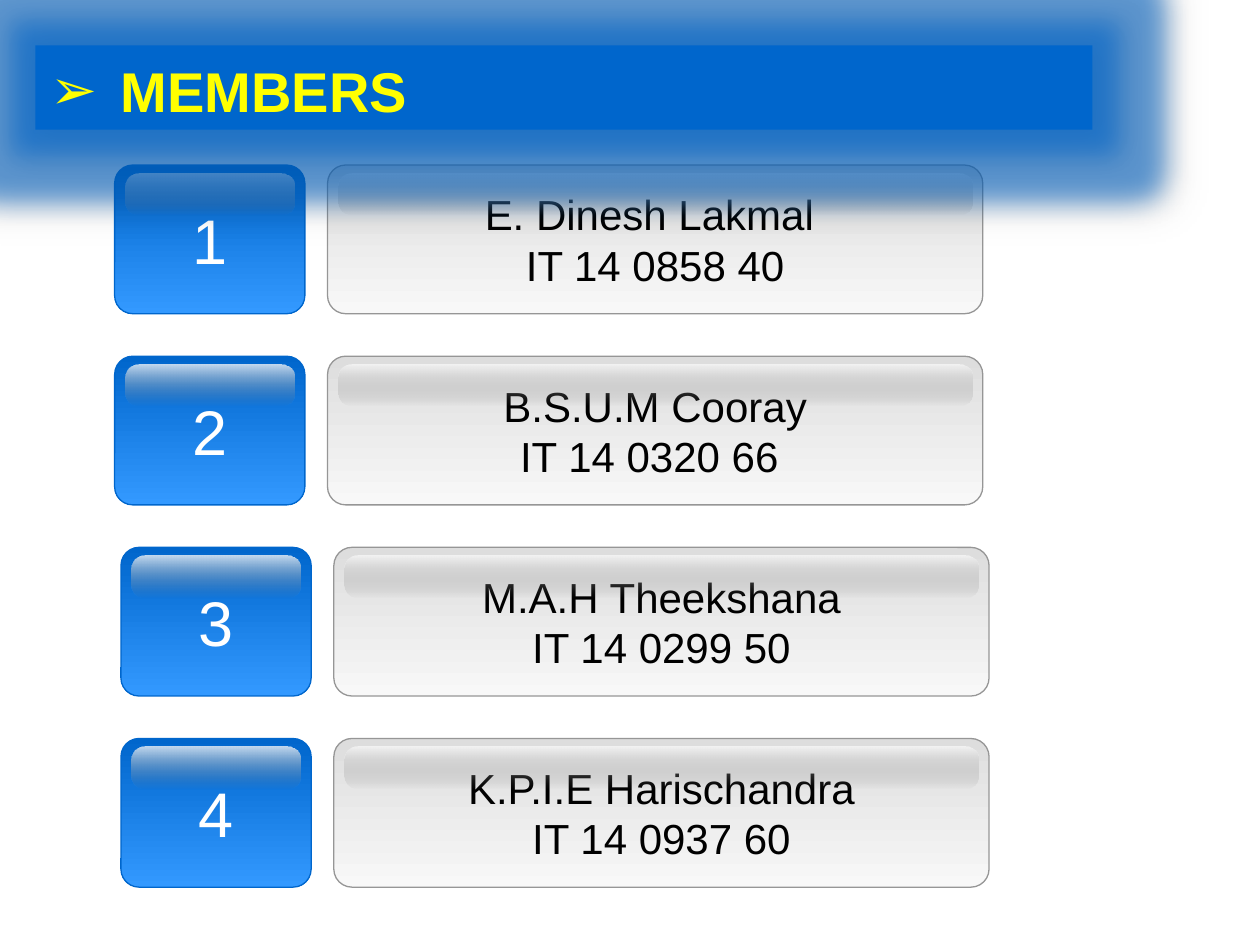
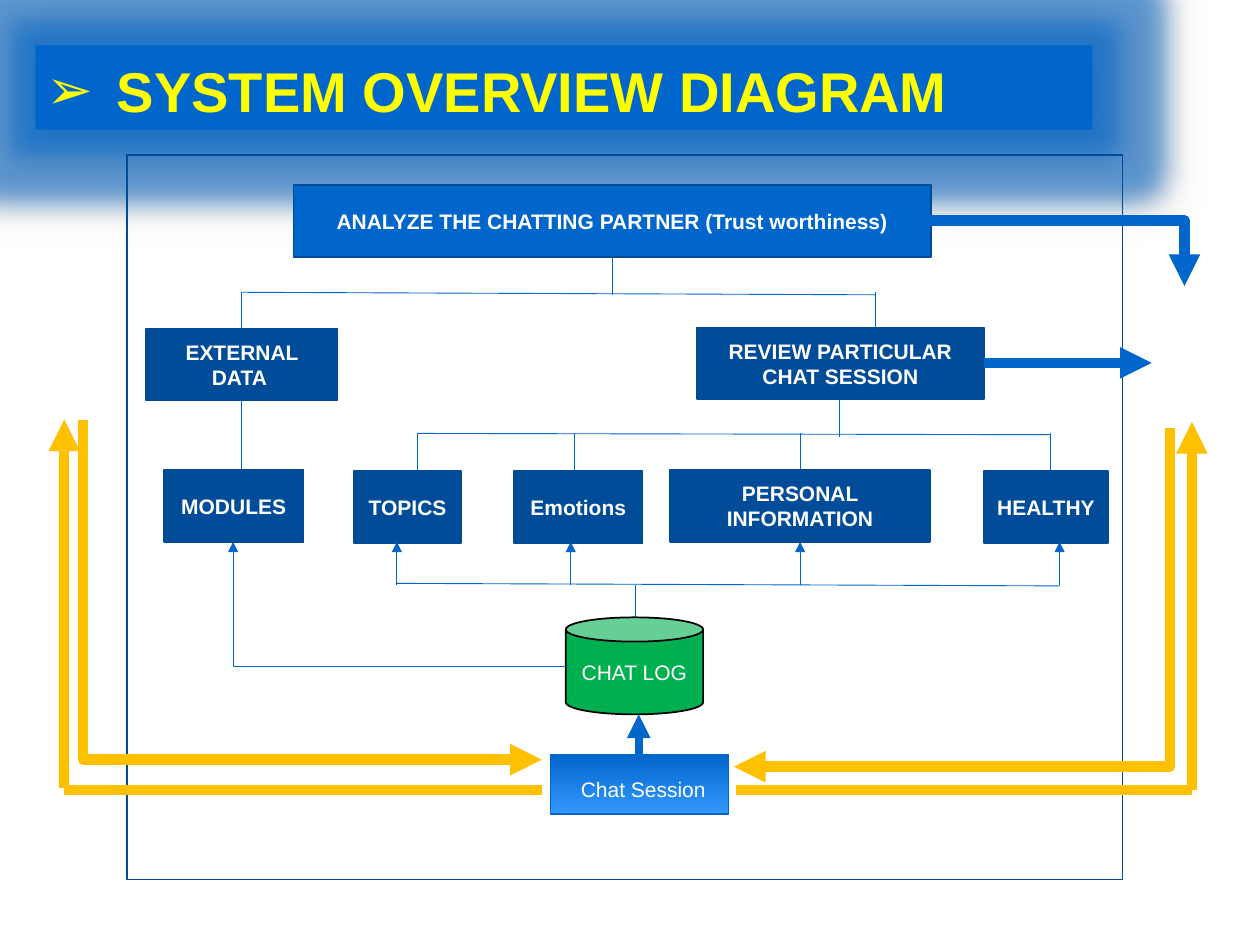
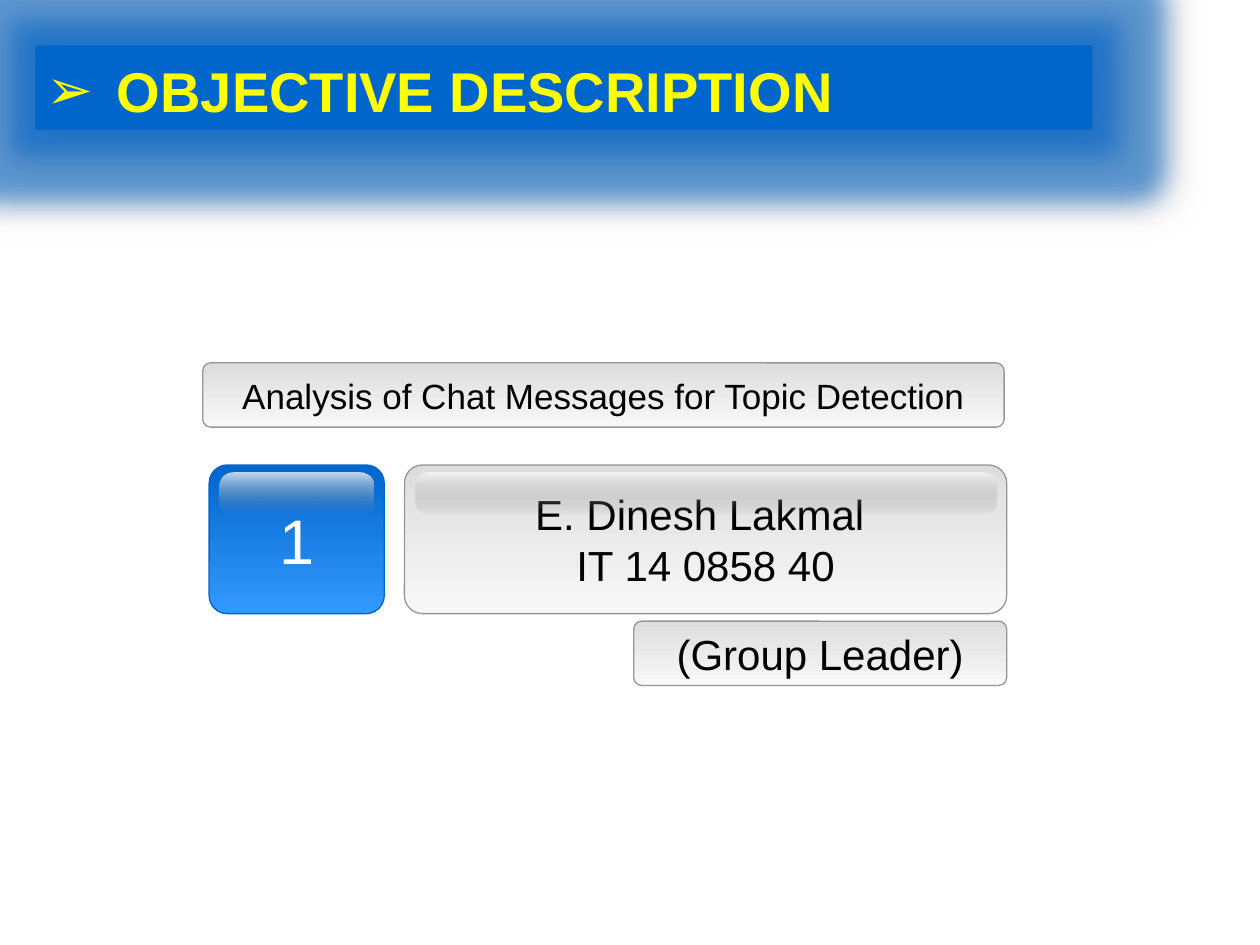
"""Build three slides: members, system overview diagram and objective description."""
from typing import NamedTuple

from lxml import etree
from pptx import Presentation
from pptx import util as u
from pptx.dml.color import RGBColor
from pptx.enum import shapes, text
from pptx.oxml import ns

COLUMNS, ROWS = 100, 75
WIDTH, HEIGHT = u.Inches(10), u.Inches(7.5)
FONT = "Arial"
BLUE, SKY, NAVY, EDGE = "0066CC", "3399FF", "004C99", "004B97"
GREY, PALE, STEEL, GLOSS = "DDDDDD", "F8F8F8", "969696", "727272"
WHITE, BLACK, YELLOW, GOLD, GREEN = "FFFFFF", "000000", "FFFF00", "FFC000", "00B050"
SHAPE = shapes.MSO_SHAPE
CENTER, LEFT = text.PP_ALIGN.CENTER, text.PP_ALIGN.LEFT


class Area(NamedTuple):
    left: float
    top: float
    width: float
    height: float


class Member(NamedTuple):
    number: str
    name: str
    code: str
    left: float


class Node(NamedTuple):
    label: str
    area: Area
    fill: str = NAVY


class Wire(NamedTuple):
    start: tuple[float, float]
    end: tuple[float, float]
    arrow: bool = False
    colour: str = BLUE
    weight: float = 0.5


class Elbow(NamedTuple):
    area: Area
    turn: int
    flip: bool
    colour: str = BLUE
    weight: float = 6


LEADER = Member("1", "E. Dinesh Lakmal ", "IT 14 0858 40", 9.1)
MEMBERS = [
    LEADER,
    Member("2", "B.S.U.M Cooray", "IT 14 0320 66 ", 9.1),
    Member("3", "M.A.H Theekshana", "IT 14 0299 50", 9.6),
    Member("4", "K.P.I.E Harischandra", "IT 14 0937 60", 9.6),
]
NODES = [
    Node("REVIEW PARTICULAR CHAT SESSION", Area(55.3, 26, 22.8, 5.7)),
    Node("ANALYZE THE CHATTING PARTNER (Trust worthiness)",
         Area(23.3, 14.7, 50.6, 5.7), BLUE),
    Node("TOPICS", Area(28.1, 37.4, 8.5, 5.7)),
    Node("Emotions", Area(40.8, 37.4, 10.2, 5.7)),
    Node("HEALTHY", Area(78.1, 37.4, 9.85, 5.7)),
    Node("EXTERNAL DATA ", Area(11.6, 26.1, 15.2, 5.7)),
    Node("MODULES", Area(13, 37.3, 11.1, 5.7)),
    Node("PERSONAL INFORMATION", Area(53.2, 37.3, 20.6, 5.7)),
]
TREE_WIRES = [
    Wire((19.2, 23.2), (69.5, 23.4)),
    Wire((48.6, 23.4), (48.6, 20.3)),
    *[Wire((x, 23.2), (x, 26)) for x in (19.2, 69.5)],
    Wire((33.1, 34.4), (83.4, 34.5)),
    Wire((66.6, 34.7), (66.6, 31.6)),
    *[Wire((x, 37.4), (x, 34.4)) for x in (33.1, 45.6, 63.5, 83.4)],
    Wire((19.2, 37.3), (19.2, 31.6)),
]
LOG_WIRES = [
    Wire((50.7, 59.9), (50.7, 56.7), True, BLUE, 4.5),
    Wire((31.5, 46.3), (84.1, 46.5)),
    Wire((50.4, 49), (50.4, 46.4)),
    *[Wire((x, 46.4), (x, 43)) for x in ()],
    *[Wire((x, 46.4), (x, 43), True) for x in (31.5, 45.3, 63.5, 84.1)],
    Wire((78.1, 28.8), (91.4, 28.8), True, BLUE, 6),
]
LOOP_WIRES = [
    Wire((5.1, 62.5), (5.1, 33.3), True, GOLD, 6),
    Wire((43, 62.7), (5.1, 62.7), False, GOLD, 6),
    Wire((94.6, 62.7), (58.4, 62.7), False, GOLD, 6),
    Wire((94.6, 62.7), (94.6, 33.5), True, GOLD, 6),
]
ELBOWS = [
    Elbow(Area(11.3, 28.6, 27, 36.4), 270, True, GOLD),
    Elbow(Area(62.1, 30.1, 26.9, 34.6), 90, False, GOLD),
    Elbow(Area(18.5, 43, 26.4, 9.9), 180, False, BLUE, 0.5),
    Elbow(Area(73.8, 17.5, 20.2, 5.2), 0, False),
]


def rgb(value: str) -> RGBColor:
    """Turn a hex string into a colour."""
    return RGBColor.from_string(value)


def across(columns: float) -> int:
    """Convert grid columns to a length."""
    return round(WIDTH * columns / COLUMNS)


def down(rows: float) -> int:
    """Convert grid rows to a length."""
    return round(HEIGHT * rows / ROWS)


def place(area: Area) -> tuple[int, int, int, int]:
    """Convert a grid area to lengths."""
    return across(area.left), down(area.top), across(area.width), down(area.height)


def child(parent, tag: str, **attributes):
    """Append a drawing element to a parent."""
    node = etree.SubElement(parent, ns.qn(f"a:{tag}"))
    for key, value in attributes.items():
        node.set(key, str(value))
    return node


def write(box, label: str, *, size: float = 12, colour: str = WHITE, bold: bool = False,
          align=CENTER, wrap: bool = True, anchor=text.MSO_ANCHOR.MIDDLE):
    """Fill a box with one paragraph per line of text."""
    frame = box.text_frame
    frame.word_wrap, frame.vertical_anchor = wrap, anchor
    for index, line in enumerate(label.split("\n")):
        para = frame.add_paragraph() if index else frame.paragraphs[0]
        para.alignment = align
        span = para.add_run()
        span.text = line
        span.font.name, span.font.size, span.font.bold = FONT, u.Pt(size), bold
        span.font.color.rgb = rgb(colour)
    return frame


def shape(page, area: Area, *, kind=SHAPE.RECTANGLE, fill=None, line: str = "",
          weight: float = 1, corner: float = 0):
    """Add a shape with no, plain or two-colour fill."""
    box = page.shapes.add_shape(kind, *place(area))
    box.shadow.inherit = False
    if corner:
        box.adjustments[0] = corner
    if fill is None:
        box.fill.background()
    elif isinstance(fill, str):
        box.fill.solid()
        box.fill.fore_color.rgb = rgb(fill)
    else:
        box.fill.gradient()
        box.fill.gradient_angle = 270
        for stop, colour in zip(box.fill.gradient_stops, fill):
            stop.color.rgb = rgb(colour)
    if line:
        box.line.color.rgb = rgb(line)
        box.line.width = u.Pt(weight)
    else:
        box.line.fill.background()
    return box


def plate(page, area: Area, label: str, *, size: float = 24, fill=(GREY, PALE),
          line: str = STEEL, colour: str = BLACK) -> None:
    """Add a rounded gradient plate with text."""
    box = shape(page, area, kind=SHAPE.ROUNDED_RECTANGLE, fill=fill, line=line,
                weight=0.75, corner=0.122)
    write(box, label, size=size, colour=colour, wrap=False)


def gloss(page, area: Area) -> None:
    """Add a fading highlight along the top of a plate."""
    shine = Area(area.left + 0.85, area.top + 0.65, area.width - 1.7, 3.3)
    box = shape(page, shine, kind=SHAPE.ROUNDED_RECTANGLE, fill=(PALE, GLOSS), corner=0.324)
    colours = box._element.spPr.iter(ns.qn("a:srgbClr"))
    for colour, alpha in zip(list(colours), (80000, 0)):
        child(colour, "alpha", val=alpha)


def card(page, member: Member, left: float, top: float, badge: float, gap: float,
         width: float) -> None:
    """Add a numbered badge and the member's name plate."""
    number = Area(left, top, badge, 11.8)
    name = Area(left + badge + gap, top, width, 11.8)
    plate(page, number, member.number, size=36, fill=(BLUE, SKY), line=BLUE, colour=WHITE)
    gloss(page, number)
    plate(page, name, f"{member.name}\n{member.code}")
    gloss(page, name)


def title(page, label: str, left: float = 2.7) -> None:
    """Add the glowing title band and its bulleted heading."""
    band = shape(page, Area(2.8, 3.6, 83.9, 6.7), fill=BLUE)
    effects = band._element.spPr.find(ns.qn("a:effectLst"))
    glow = child(effects, "glow", rad=u.Pt(28))
    child(child(glow, "srgbClr", val=BLUE), "alpha", val=55000)
    shadow = child(effects, "outerShdw", blurRad=u.Pt(18), dist=u.Pt(3), dir=45 * 60000)
    child(child(shadow, "srgbClr", val="0D0D0D"), "alpha", val=40000)
    box = page.shapes.add_textbox(*place(Area(left, 4, 81.2, 6.4)))
    frame = write(box, label, size=32, colour=YELLOW, bold=True, align=LEFT,
                  anchor=text.MSO_ANCHOR.TOP)
    layout = frame.paragraphs[0]._p.get_or_add_pPr()
    layout.set("marL", str(across(5.6)))
    layout.set("indent", str(-across(5.6)))
    child(layout, "buFont", typeface=FONT)
    child(layout, "buChar", char="➢")


def style_line(line, colour: str, weight: float, arrow: bool) -> None:
    """Set a connector's colour, weight and arrowhead."""
    line.line.color.rgb = rgb(colour)
    line.line.width = u.Pt(weight)
    if arrow:
        child(line.line._get_or_add_ln(), "tailEnd", type="triangle")
    child(line._element.spPr, "effectLst")


def draw_wire(page, wire: Wire) -> None:
    """Add a straight connector."""
    line = page.shapes.add_connector(
        shapes.MSO_CONNECTOR.STRAIGHT, across(wire.start[0]), down(wire.start[1]),
        across(wire.end[0]), down(wire.end[1]))
    style_line(line, wire.colour, wire.weight, wire.arrow)


def draw_elbow(page, elbow: Elbow) -> None:
    """Add a connector with one corner."""
    left, top, width, height = place(elbow.area)
    line = page.shapes.add_connector(
        shapes.MSO_CONNECTOR.ELBOW, left, top, left + width, top + height)
    properties = line._element.spPr
    properties.find(ns.qn("a:prstGeom")).set("prst", "bentConnector2")
    frame = properties.find(ns.qn("a:xfrm"))
    frame.set("rot", str(elbow.turn * 60000))
    if elbow.flip:
        frame.set("flipH", "1")
    style_line(line, elbow.colour, elbow.weight, True)


def members_slide(page) -> None:
    """Draw the list of members."""
    for index, member in enumerate(MEMBERS):
        card(page, member, member.left, 13.1 + 15.17 * index, 15.1, 1.8, 52)
    title(page, "MEMBERS", left=3)


def diagram_slide(page) -> None:
    """Draw the system overview diagram."""
    title(page, "SYSTEM OVERVIEW DIAGRAM")
    shape(page, Area(10.1, 12.3, 79, 57.5), line=EDGE)
    for wire in TREE_WIRES:
        draw_wire(page, wire)
    for node in NODES:
        box = shape(page, node.area, fill=node.fill, line=EDGE)
        write(box, node.label, bold=True)
    session = shape(page, Area(43.7, 59.9, 14.1, 4.7), fill=(BLUE, SKY), line=BLUE, weight=0.75)
    frame = write(session, "Chat Session", align=LEFT)
    frame.margin_left, frame.margin_top = across(2.4), down(1.2)
    log = shape(page, Area(44.9, 49, 10.9, 7.7), kind=SHAPE.CAN, fill=GREEN, line=BLACK)
    write(log, "CHAT LOG")
    for wire in LOOP_WIRES + LOG_WIRES:
        draw_wire(page, wire)
    for elbow in ELBOWS:
        draw_elbow(page, elbow)


def objective_slide(page) -> None:
    """Draw the group leader's objective."""
    card(page, LEADER, 16.6, 36.9, 13.9, 1.6, 47.8)
    plate(page, Area(50.3, 49.3, 29.6, 5.1), "(Group Leader)")
    plate(page, Area(16.1, 28.8, 63.6, 5.1),
          "Analysis of Chat Messages for Topic Detection", size=20)
    title(page, "OBJECTIVE DESCRIPTION")


def main() -> None:
    """Build and save the deck."""
    deck = Presentation()
    deck.slide_width, deck.slide_height = WIDTH, HEIGHT
    for draw in (members_slide, diagram_slide, objective_slide):
        draw(deck.slides.add_slide(deck.slide_layouts[6]))
    deck.save("out.pptx")


if __name__ == "__main__":
    main()
